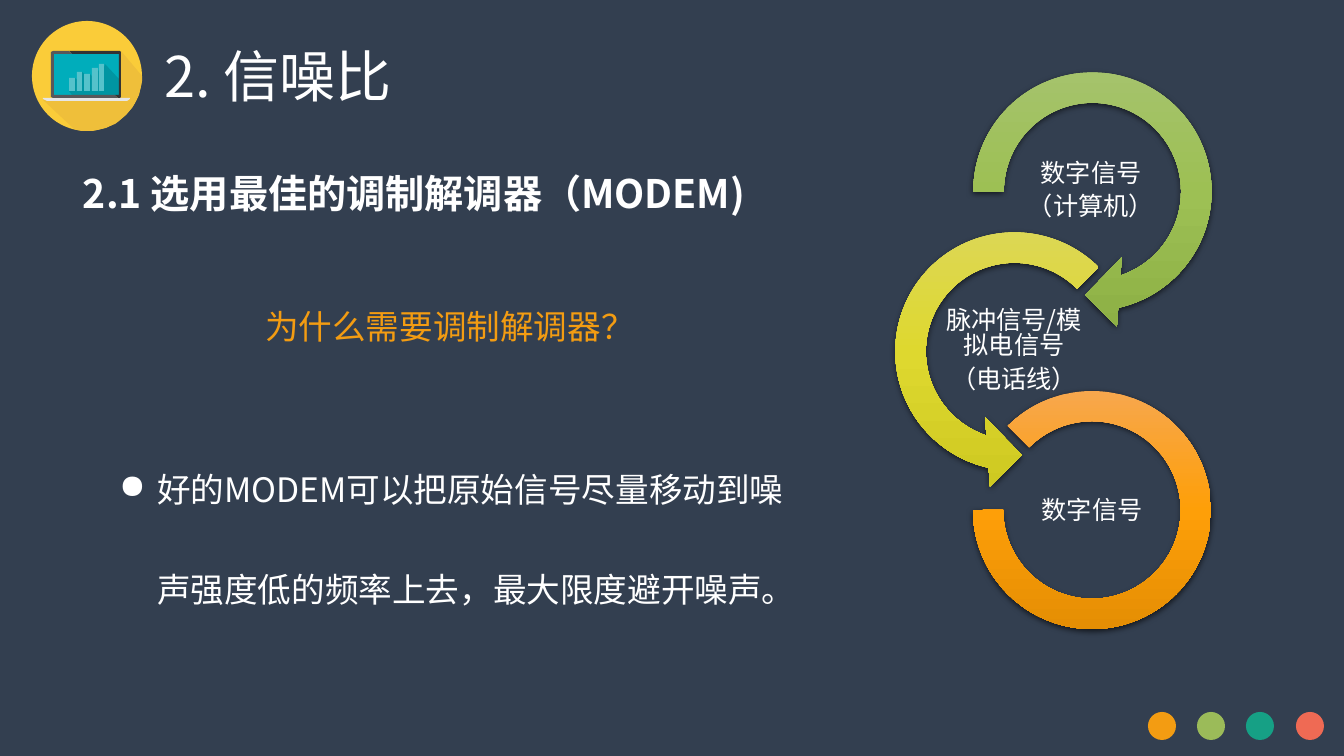
import math
from dataclasses import dataclass

import lxml.etree
import pptx
import pptx.dml.color
import pptx.enum.lang
import pptx.enum.shapes
import pptx.enum.text
import pptx.oxml.ns
import pptx.util


@dataclass(frozen=True)
class Theme:
    font: str = "Noto Sans CJK SC"
    background: str = "333F50"
    white: str = "FFFFFF"
    orange: str = "F39C12"
    dots: tuple = ("F39C12", "9BBB59", "16A085", "EF6A54")
    disc: str = "FACC39"
    disc_shade: str = "EFBF3A"
    screen: str = "00ADBB"
    screen_shade: str = "0095A2"
    screen_edge: str = "77A063"
    bar: str = "55C2CB"
    base: str = "E6E6E6"
    frame_dark: str = "333333"
    frame_light: str = "58585A"
    green_ring: tuple = ("A6C36F", "9DC054", "8DB045")
    yellow_ring: tuple = ("DCD75A", "DED82F", "CEC921")
    orange_ring: tuple = ("F7A74D", "FE9F08", "E58E04")
    title_size: int = 40
    heading_size: int = 28
    body_size: int = 24
    label_size: int = 18


theme = Theme()
PX = 914400 / 100.8
SHAPE = pptx.enum.shapes.MSO_SHAPE
qn = pptx.oxml.ns.qn


def paint(part, color):
    part.shadow.inherit = False
    part.line.fill.background()
    part.fill.solid()
    part.fill.fore_color.rgb = pptx.dml.color.RGBColor.from_string(color)


def write(paragraph, text, size, color, bold=False):
    run = paragraph.add_run()
    run.text = text
    run.font.size = pptx.util.Pt(size)
    run.font.bold = bold
    run.font.name = theme.font
    run.font.language_id = pptx.enum.lang.MSO_LANGUAGE_ID.SIMPLIFIED_CHINESE
    run.font.color.rgb = pptx.dml.color.RGBColor.from_string(color)
    east_asian = lxml.etree.SubElement(run.font._element, qn("a:ea"))
    east_asian.set("typeface", theme.font)


deck = pptx.Presentation()
deck.slide_width, deck.slide_height = round(1344 * PX), round(756 * PX)
slide = deck.slides.add_slide(deck.slide_layouts[5])
slide.background.fill.solid()
slide.background.fill.fore_color.rgb = pptx.dml.color.RGBColor.from_string(theme.background)

# Title
title = slide.shapes.title
title.left, title.top, title.width, title.height = (round(v * PX) for v in (164, 42, 573, 54))
title_frame = title.text_frame
title_frame.margin_left = title_frame.margin_right = 0
title_frame.margin_top = title_frame.margin_bottom = 0
title_frame.vertical_anchor = pptx.enum.text.MSO_ANCHOR.TOP
title_frame.auto_size = pptx.enum.text.MSO_AUTO_SIZE.NONE
title_frame.paragraphs[0].alignment = pptx.enum.text.PP_ALIGN.LEFT
write(title_frame.paragraphs[0], "2. 信噪比", theme.title_size, theme.white)

# Laptop icon: ellipses and rectangles as boxes, other outlines as points
shade_arc = [(87 + round(55 * math.cos(math.radians(a))), 76 + round(55 * math.sin(math.radians(a))))
             for a in range(100, -5, -5)]
disc_shade = [(121, 51), (53, 94), (53, 100), (43, 100), (74, 129)] + shade_arc
screen_shade = [(105, 64), (102, 74), (97, 69), (95, 79), (90, 74), (87, 76), (82, 72), (80, 82),
                (75, 78), (72, 89), (69, 91), (72, 95), (79, 96), (80, 97), (94, 97), (119, 95),
                (119, 79)]
base = [(43, 98), (43, 99), (47, 101), (127, 101), (130, 99), (130, 98)]
frame_right = [(120, 51), (69, 51), (72, 54), (119, 54), (119, 95), (115, 95), (118, 98),
               (120, 98), (121, 97), (121, 52)]
frame_left = [(54, 95), (54, 54), (72, 54), (69, 51), (53, 51), (51, 52), (51, 97), (53, 98),
              (118, 98), (115, 95)]
bars = [(SHAPE.RECTANGLE, (x, top, width, 91 - top), theme.bar)
        for x, top, width in [(69, 78, 6), (77, 72, 5), (84, 74, 6), (92, 68, 6), (99, 64, 5)]]
icon = [
    (SHAPE.OVAL, (32, 21, 110, 110), theme.disc),
    (None, disc_shade, theme.disc_shade),
    (SHAPE.RECTANGLE, (53, 53, 67, 43), theme.screen),
    (SHAPE.RECTANGLE, (80, 96, 14, 1), theme.screen_edge),
    (None, screen_shade, theme.screen_shade),
    *bars,
    (None, base, theme.base),
    (None, frame_right, theme.frame_dark),
    (None, frame_left, theme.frame_light),
]
# Colour dots in the corner
dots = [(SHAPE.OVAL, (1148 + i * 148 // 3, 712, 28, 28), color)
        for i, color in enumerate(theme.dots)]
for kind, geometry, color in icon + dots:
    if kind is None:
        outline = slide.shapes.build_freeform(*geometry[0], scale=PX)
        outline.add_line_segments(geometry[1:], close=True)
        piece = outline.convert_to_shape()
    else:
        piece = slide.shapes.add_shape(kind, *(round(v * PX) for v in geometry))
    paint(piece, color)

# Heading, question and bullet
passages = [
    ((83, 166, 683, 55), "2.1 选用最佳的调制解调器（MODEM)", theme.heading_size, theme.white, 36, True, False),
    ((265, 245, 370, 107), "为什么需要调制解调器？", theme.body_size, theme.orange, 72, False, False),
    ((119, 408, 677, 209), "好的MODEM可以把原始信号尽量移动到噪声强度低的频率上去，最大限度避开噪声。",
     theme.body_size, theme.white, 72, False, True),
]
for box, text, size, color, spacing, bold, bulleted in passages:
    passage = slide.shapes.add_textbox(*(round(v * PX) for v in box)).text_frame
    passage.margin_left = passage.margin_right = passage.margin_top = 0
    passage.margin_bottom = round(5 * PX)
    passage.word_wrap = bulleted
    passage.auto_size = pptx.enum.text.MSO_AUTO_SIZE.SHAPE_TO_FIT_TEXT
    paragraph = passage.paragraphs[0]
    paragraph.line_spacing = pptx.util.Pt(spacing)
    write(paragraph, text, size, color, bold)
    if bulleted:
        properties = paragraph._p.get_or_add_pPr()
        properties.set("marL", str(round(38 * PX)))
        properties.set("indent", str(round(-38 * PX)))
        lxml.etree.SubElement(properties, qn("a:buChar")).set("char", "●")

# Signal chain: three rings with their labels
rings = [
    (SHAPE.CIRCULAR_ARROW, (954, 53, 277, 277), (0.11, 11.42, 45, 108, 0.125), theme.green_ring,
     (1014, 153), ["数字信号", "（计算机）"]),
    (SHAPE.LEFT_CIRCULAR_ARROW, (876, 213, 277, 277), (0.11, 11.42, 63, 189, 0.125), theme.yellow_ring,
     (937, 313), ["脉冲信号/模拟电信号", "（电话线）"]),
    (SHAPE.BLOCK_ARC, (973, 391, 238, 238), (135, 108, 0.127), theme.orange_ring,
     (1015, 474), ["数字信号"]),
]
for kind, box, adjustments, colors, label_corner, lines in rings:
    ring = slide.shapes.add_shape(kind, *(round(v * PX) for v in box))
    for i, value in enumerate(adjustments):
        ring.adjustments[i] = value
    ring.line.fill.background()
    ring.fill.gradient()
    ring.fill.gradient_angle = 270
    stops = ring._element.spPr.find(".//" + qn("a:gsLst"))
    stops[:] = []
    for position, color in zip((0, 50000, 100000), colors):
        stop = lxml.etree.SubElement(stops, qn("a:gs"), pos=str(position))
        lxml.etree.SubElement(stop, qn("a:srgbClr"), val=color)
    ring.shadow.inherit = False
    effects = ring._element.spPr.find(qn("a:effectLst"))
    shadow = lxml.etree.SubElement(effects, qn("a:outerShdw"), blurRad="57150", dist="19050",
                                   dir="5400000", algn="ctr", rotWithShape="0")
    black = lxml.etree.SubElement(shadow, qn("a:srgbClr"), val="000000")
    lxml.etree.SubElement(black, qn("a:alpha"), val="63000")

    label = slide.shapes.add_textbox(*(round(v * PX) for v in (*label_corner, 154, 77))).text_frame
    label.word_wrap = True
    label.vertical_anchor = pptx.enum.text.MSO_ANCHOR.MIDDLE
    label.margin_left = label.margin_right = label.margin_top = label.margin_bottom = round(PX)
    for i, line in enumerate(lines):
        paragraph = label.add_paragraph() if i else label.paragraphs[0]
        paragraph.alignment = pptx.enum.text.PP_ALIGN.CENTER
        paragraph.line_spacing = 0.82
        paragraph.space_after = pptx.util.Pt(6.3)
        write(paragraph, line, theme.label_size, theme.white)

deck.save("out.pptx")
